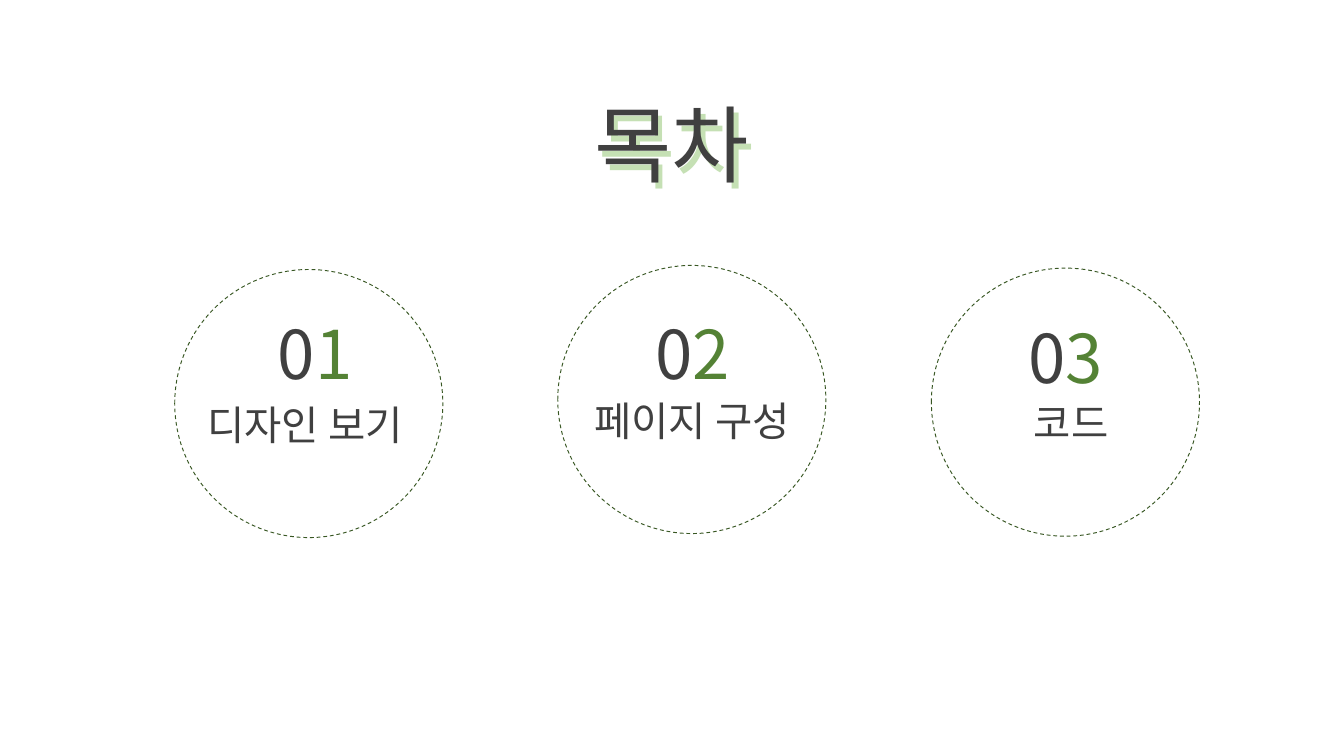
"""Build a contents slide with three numbered dashed circles."""
import dataclasses

import pptx
import pptx.dml.color
import pptx.enum.dml
import pptx.enum.shapes
import pptx.enum.text
import pptx.oxml.ns
import pptx.util

PX = 4572
FONT = "Noto Sans CJK KR"
COLORS = {
    "white": "FFFFFF",
    "text": "404040",
    "shadow": "C5E0B4",
    "accent": "548235",
    "outline": "385723",
}


@dataclasses.dataclass(frozen=True)
class Box:
    left: int
    top: int
    width: int
    height: int

    def emu(self) -> list[int]:
        return [v * PX for v in dataclasses.astuple(self)]


@dataclasses.dataclass(frozen=True)
class Item:
    digit: str
    label: str
    circle: Box
    number_box: Box
    label_box: Box


ITEMS = [
    Item("3", "코드", Box(1386, 399, 399, 399),
         Box(1475, 458, 222, 144), Box(1348, 601, 492, 72)),
    Item("2", "페이지 구성", Box(830, 395, 399, 399),
         Box(920, 452, 222, 144), Box(784, 597, 492, 72)),
    Item("1", "디자인 보기", Box(260, 401, 399, 399),
         Box(358, 452, 222, 144), Box(208, 603, 492, 72)),
]


def rgb(name: str) -> pptx.dml.color.RGBColor:
    return pptx.dml.color.RGBColor.from_string(COLORS[name])


def add_run(p, text: str, *, size: float, color: str = "text") -> None:
    r = p.add_run()
    r.text = text
    r.font.size = pptx.util.Pt(size)
    r.font.name = FONT
    r.font.color.rgb = rgb(color)
    ea = r.font._element.makeelement(pptx.oxml.ns.qn("a:ea"), {"typeface": FONT})
    r.font._element.find(pptx.oxml.ns.qn("a:latin")).addnext(ea)


def format_frame(tf, spacing: float = 0.9):
    tf.word_wrap = True
    tf.auto_size = pptx.enum.text.MSO_AUTO_SIZE.NONE
    tf.vertical_anchor = pptx.enum.text.MSO_ANCHOR.BOTTOM
    tf.margin_left = tf.margin_right = 20 * PX
    tf.margin_top = tf.margin_bottom = 10 * PX
    p = tf.paragraphs[0]
    p.alignment = pptx.enum.text.PP_ALIGN.CENTER
    p.line_spacing = spacing
    return p


def add_title(s) -> None:
    shadow = s.shapes.add_textbox(*Box(256, 128, 1500, 180).emu())
    title = s.shapes.title
    title.left, title.top, title.width, title.height = Box(250, 120, 1500, 180).emu()
    title.element.addprevious(shadow.element)
    for sp, color in ((shadow, "shadow"), (title, "text")):
        add_run(format_frame(sp.text_frame), "목차", size=45, color=color)


def add_item(s, item: Item) -> None:
    group = s.shapes.add_group_shape()
    sp = group.shapes.add_shape(pptx.enum.shapes.MSO_SHAPE.OVAL, *item.circle.emu())
    sp.shadow.inherit = False
    sp.fill.solid()
    sp.fill.fore_color.rgb = rgb("white")
    sp.line.color.rgb = rgb("outline")
    sp.line.width = pptx.util.Pt(0.5)
    sp.line.dash_style = pptx.enum.dml.MSO_LINE.DASH

    number = group.shapes.add_textbox(*item.number_box.emu())
    p = format_frame(number.text_frame)
    add_run(p, "0", size=36)
    add_run(p, item.digit, size=36, color="accent")

    label = group.shapes.add_textbox(*item.label_box.emu())
    add_run(format_frame(label.text_frame, 0.7), item.label, size=21.7)


def main() -> None:
    prs = pptx.Presentation()
    prs.slide_width, prs.slide_height = 2000 * PX, 1125 * PX
    s = prs.slides.add_slide(prs.slide_layouts[5])
    add_title(s)
    for item in ITEMS:
        add_item(s, item)
    prs.save("out.pptx")


if __name__ == "__main__":
    main()
